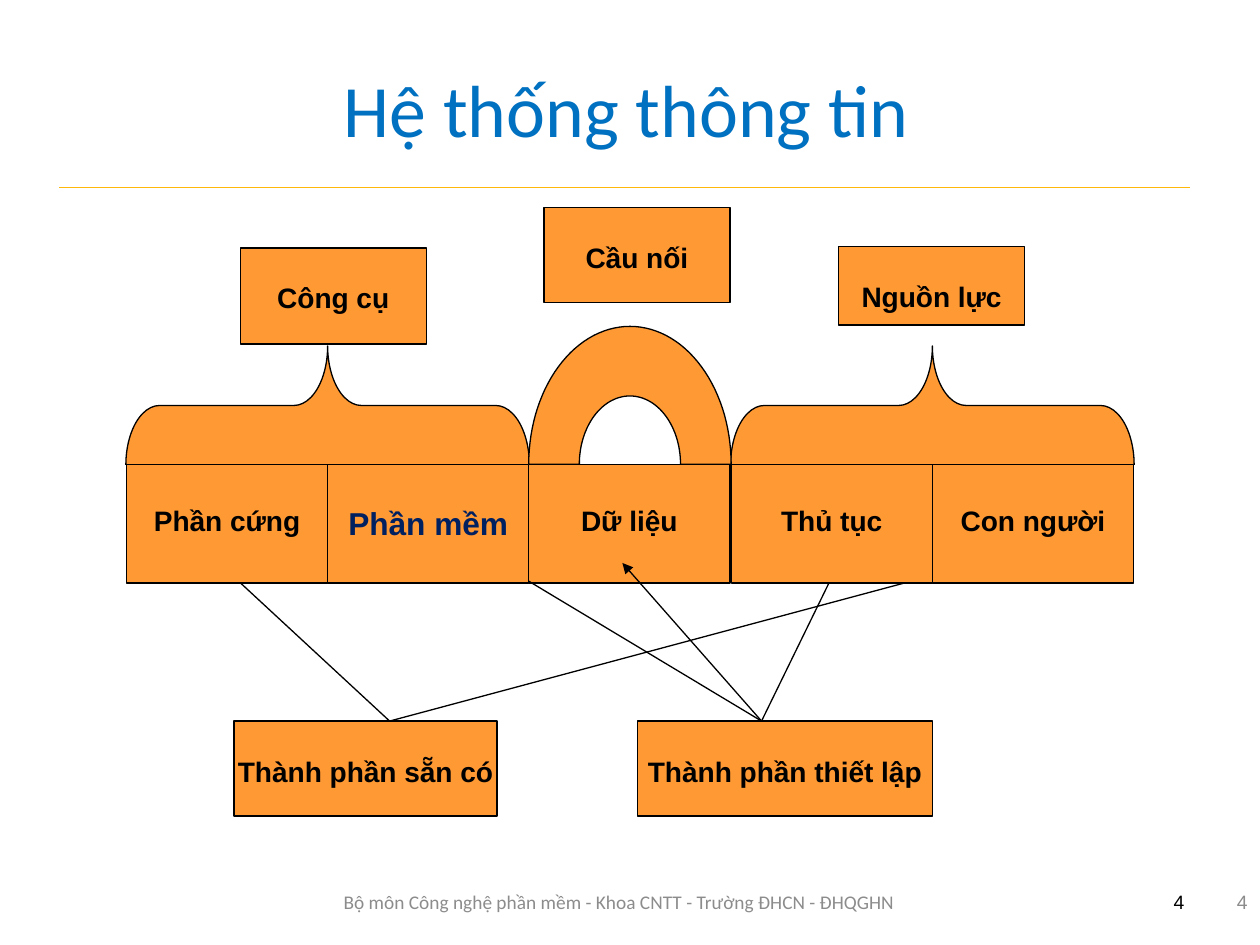
import math
import pptx
import pptx.util
import pptx.dml.color
import pptx.enum.shapes
import pptx.enum.text
import pptx.oxml
import pptx.oxml.ns
import lxml.etree

PX = 9144
COLORS = {
    "orange": "FF9933", "black": "000000", "navy": "002060",
    "title": "0070C0", "rule": "FEB80A", "gray": "8C8C8C",
}
RGB = {name: pptx.dml.color.RGBColor.from_string(code) for name, code in COLORS.items()}
SHAPE = pptx.enum.shapes.MSO_SHAPE
ALIGN = pptx.enum.text.PP_ALIGN
ANCHOR = pptx.enum.text.MSO_ANCHOR
STRAIGHT = pptx.enum.shapes.MSO_CONNECTOR.STRAIGHT
LINE_WIDTH = pptx.util.Pt(0.75)
BLANK_LINE = 26

deck = pptx.Presentation()
deck.slide_width = 996 * PX
deck.slide_height = 747 * PX
slide = deck.slides.add_slide(deck.slide_layouts[6])
shapes = slide.shapes


def paint(part):
    part.shadow.inherit = False
    part.fill.solid()
    part.fill.fore_color.rgb = RGB["orange"]
    part.line.color.rgb = RGB["black"]
    part.line.width = LINE_WIDTH


def add_box(label, left, top, width, height, side, inset, size=16, color="black"):
    box = shapes.add_shape(SHAPE.RECTANGLE, left * PX, top * PX, width * PX, height * PX)
    paint(box)
    frame = box.text_frame
    frame.word_wrap = True
    frame.vertical_anchor = ANCHOR.TOP
    frame.margin_left = frame.margin_right = side * PX
    frame.margin_top = (inset + BLANK_LINE) * PX
    frame.margin_bottom = 0
    paragraph = frame.paragraphs[0]
    paragraph.text = label
    paragraph.alignment = ALIGN.CENTER
    paragraph.font.name = "Arial"
    paragraph.font.size = pptx.util.Pt(size)
    paragraph.font.bold = True
    paragraph.font.color.rgb = RGB[color]


title_rule = shapes.add_connector(STRAIGHT, 47 * PX, 148 * PX, 941 * PX, 148 * PX)
title_rule.line.color.rgb = RGB["rule"]
title_rule.line.width = LINE_WIDTH
lxml.etree.SubElement(title_rule._element.spPr, pptx.oxml.ns.qn("a:effectLst"))

for text, left, top, width, height, align, size, font, color in [
    ("Hệ thống thông tin", 47, 23, 896, 125, ALIGN.CENTER, 42, "Calibri", "title"),
    ("Bộ môn Công nghệ phần mềm - Khoa CNTT - Trường ĐHCN - ĐHQGHN",
     248, 693, 483, 40, ALIGN.CENTER, 11, "Calibri", "gray"),
    ("4", 714, 693, 232, 40, ALIGN.RIGHT, 11, "Arial", "black"),
    ("4", 764, 693, 232, 40, ALIGN.RIGHT, 11, "Arial", "gray"),
]:
    caption = shapes.add_textbox(left * PX, top * PX, width * PX, height * PX).text_frame
    caption.word_wrap = True
    caption.vertical_anchor = ANCHOR.MIDDLE
    paragraph = caption.paragraphs[0]
    paragraph.text = text
    paragraph.alignment = align
    paragraph.font.name = font
    paragraph.font.size = pptx.util.Pt(size)
    paragraph.font.color.rgb = RGB[color]

ROW_LEFT, ROW_TOP, ROW_HEIGHT, ROW_WIDTH = 100, 367, 94, 796
column_edges = [ROW_LEFT + round(ROW_WIDTH * i / 5) for i in range(6)]
add_box("Dữ liệu", column_edges[2], ROW_TOP, 159, ROW_HEIGHT, 10, 5)

for brace_left in (212, 690):
    brace = shapes.add_shape(SHAPE.RIGHT_BRACE, brace_left * PX, 161 * PX, 94 * PX, 319 * PX)
    brace.rotation = 270
    brace.adjustments[0] = 0.284
    brace.adjustments[1] = 0.5
    paint(brace)

ARCH_X = 498
angles = [math.radians(degree) for degree in range(0, 181, 3)]
outer_arc = [(ARCH_X - 80 * math.cos(a), ROW_TOP - 109 * math.sin(a)) for a in angles]
inner_arc = [(ARCH_X + 40 * math.cos(a), ROW_TOP - 54 * math.sin(a)) for a in angles]
arch_points = [(round(x * PX), round(y * PX)) for x, y in outer_arc + inner_arc]
arch_outline = shapes.build_freeform(*arch_points[0])
arch_outline.add_line_segments(arch_points[1:], close=True)
paint(arch_outline.convert_to_shape())

for label, left, top, width, height, side in [
    ("Công cụ", 190, 196, 147, 76, 10),
    ("Nguồn lực", 663, 195, 147, 62, 10),
    ("Cầu nối", 430, 164, 147, 75, 10),
    ("Thành phần sẵn có", 185, 570, 208, 75, 0),
    ("Thành phần thiết lập", 504, 570, 233, 75, 0),
]:
    add_box(label, left, top, width, height, side, 0)

AVAILABLE_X, ESTABLISHED_X = 308, 602
for component_x, group_x in [
    (492, ESTABLISHED_X), (394, ESTABLISHED_X), (663, ESTABLISHED_X),
    (173, AVAILABLE_X), (774, AVAILABLE_X),
]:
    arrow = shapes.add_connector(STRAIGHT, component_x * PX, 445 * PX, group_x * PX, 570 * PX)
    arrow.line.color.rgb = RGB["black"]
    arrow.line.width = LINE_WIDTH
    head = lxml.etree.SubElement(arrow.line._get_or_add_ln(), pptx.oxml.ns.qn("a:headEnd"))
    head.set("type", "triangle")
    lxml.etree.SubElement(arrow._element.spPr, pptx.oxml.ns.qn("a:effectLst"))

for column, label, size, color in [
    (0, "Phần cứng", 16, "black"),
    (1, "Phần mềm", 18, "navy"),
    (3, "Thủ tục", 16, "black"),
    (4, "Con người", 16, "black"),
]:
    add_box(label, column_edges[column], ROW_TOP, 159, ROW_HEIGHT, 10, 5, size, color)

deck.save("out.pptx")
